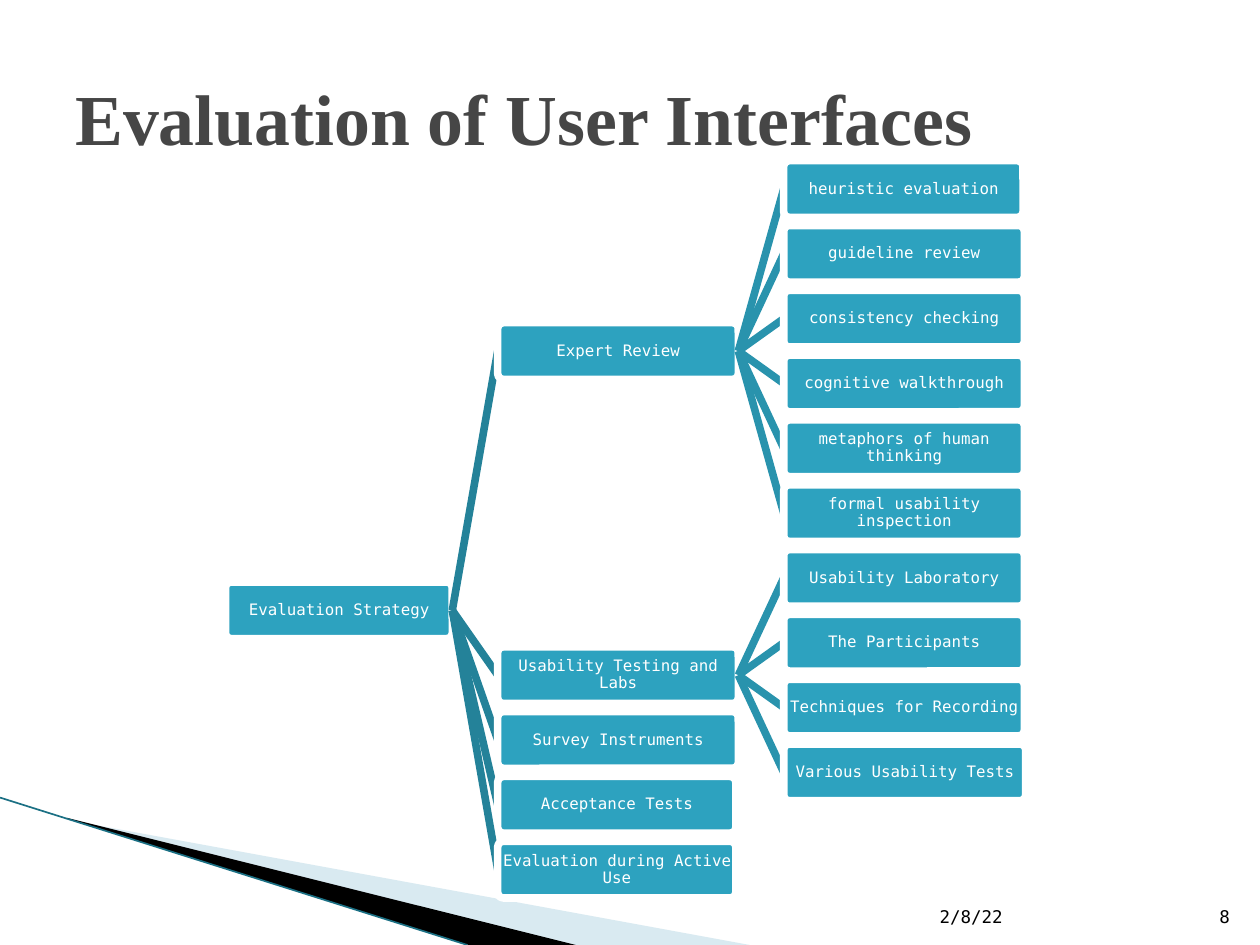
from dataclasses import dataclass

from lxml import etree
from pptx import Presentation
from pptx.dml.color import RGBColor
from pptx.enum.shapes import MSO_CONNECTOR, MSO_SHAPE
from pptx.enum.text import MSO_ANCHOR, PP_ALIGN
from pptx.oxml.ns import qn
from pptx.util import Pt

LINE = MSO_CONNECTOR.STRAIGHT
ROUND = MSO_SHAPE.ROUNDED_RECTANGLE
MIDDLE, BOTTOM = MSO_ANCHOR.MIDDLE, MSO_ANCHOR.BOTTOM
LEFT, CENTER, RIGHT = PP_ALIGN.LEFT, PP_ALIGN.CENTER, PP_ALIGN.RIGHT
SCALE = 9144


@dataclass(frozen=True)
class Theme:
    serif: str = "Times New Roman"
    mono: str = "DejaVu Sans Mono"
    title: str = "464646"
    ink: str = "000000"
    paper: str = "FFFFFF"
    box: str = "2DA2BF"
    links: tuple = ("248299", "2993AD")
    pale: str = "A0CBDC"
    edge: str = "1B7084"
    big: int = 41
    foot: int = 10
    label: int = 9
    rule: float = 4.33
    thin: float = 0.95


def px(n):
    return round(n * SCALE)


class Deck:
    def __init__(self, theme, wide, high):
        self.theme = theme
        self.show = Presentation()
        self.show.slide_width, self.show.slide_height = px(wide), px(high)
        self.slide = self.show.slides.add_slide(self.show.slide_layouts[6])
        self.shapes = self.slide.shapes

    def paint(self, fill, color):
        fill.solid()
        fill.fore_color.rgb = RGBColor.from_string(color)

    def label(self, shape, text, font, size, color, align, anchor, bold=False):
        frame = shape.text_frame
        frame.word_wrap = True
        frame.vertical_anchor = anchor
        frame.text = text
        para = frame.paragraphs[0]
        para.alignment = align
        style = para.runs[0].font
        style.name, style.size, style.bold = font, Pt(size), bold
        style.color.rgb = RGBColor.from_string(color)
        return frame

    def text(self, area, *args, **kwargs):
        self.label(self.shapes.add_textbox(*map(px, area)), *args, **kwargs)

    def line(self, start, end, color, width):
        line = self.shapes.add_connector(LINE, *map(px, start + end))
        self.paint(line.line.fill, color)
        line.line.width = Pt(width)
        etree.SubElement(line._element.spPr, qn("a:effectLst"))

    def wedge(self, points, color, alpha=100):
        pen = self.shapes.build_freeform(*points[0], scale=SCALE)
        pen.add_line_segments(points[1:], close=True)
        shape = pen.convert_to_shape()
        shape.shadow.inherit = False
        self.paint(shape.fill, color)
        shape.line.fill.background()
        if alpha < 100:
            tint = shape._element.spPr.find(qn("a:solidFill"))[0]
            etree.SubElement(tint, qn("a:alpha"), val=str(alpha * 1000))

    def box(self, area, text):
        look = self.theme
        shape = self.shapes.add_shape(ROUND, *map(px, area))
        shape.adjustments[0] = 0.1
        shape.shadow.inherit = False
        self.paint(shape.fill, look.box)
        self.paint(shape.line.fill, look.paper)
        shape.line.width = Pt(look.rule)
        frame = self.label(shape, text, look.mono, look.label, look.paper,
                           CENTER, MIDDLE)
        frame.margin_left = frame.margin_right = px(1)
        frame.margin_top = frame.margin_bottom = px(1)
        frame.paragraphs[0].line_spacing = 0.9


COLS = [(179, 180), (395, 191), (622, 191)]
FIRST, LAST, HIGH = 150, 613, 45
WIDTHS = {
    "heuristic evaluation": 190,
    "Various Usability Tests": 192,
    "Acceptance Tests": 189,
    "Evaluation during Active Use": 189,
}
TREE = ("Evaluation Strategy", [
    ("Expert Review", [
        ("heuristic evaluation", []),
        ("guideline review", []),
        ("consistency checking", []),
        ("cognitive walkthrough", []),
        ("metaphors of human thinking", []),
        ("formal usability inspection", []),
    ]),
    ("Usability Testing and Labs", [
        ("Usability Laboratory", []),
        ("The Participants", []),
        ("Techniques for Recording", []),
        ("Various Usability Tests", []),
    ]),
    ("Survey Instruments", []),
    ("Acceptance Tests", []),
    ("Evaluation during Active Use", []),
])


def place(node, ends, depth=0):
    name, kids = node
    nodes = []
    for kid in kids:
        nodes.append(place(kid, ends, depth + 1))
    if nodes:
        row = (nodes[0][1] + nodes[-1][1]) / 2
    else:
        row = ends.get(depth, -1) + 1
    ends[depth] = row
    return name, row, nodes


def draw(deck, node, depth=0):
    name, row, kids = node
    left, wide = COLS[depth]
    step = (LAST - FIRST) / 9
    mid = FIRST + row * step
    deck.box((left, mid - HIGH / 2, WIDTHS.get(name, wide), HIGH), name)
    for kid in kids:
        end = (COLS[depth + 1][0], FIRST + kid[1] * step)
        deck.line((left + wide, mid), end, deck.theme.links[depth],
                  deck.theme.rule)
        draw(deck, kid, depth + 1)


def main():
    look = Theme()
    deck = Deck(look, 1000, 750)
    deck.wedge([(55, 651), (595, 750), (456, 750), (55, 650)], look.pale, 40)
    deck.wedge([(53, 649), (457, 750), (372, 750), (54, 650)], look.ink)
    deck.line((0, 633), (371, 750), look.edge, look.thin)
    deck.text((50, 30, 900, 125), "Evaluation of User Interfaces",
              look.serif, look.big, look.title, LEFT, MIDDLE, bold=True)
    for area, text, align in [((736, 701, 210, 40), "2/8/22", LEFT),
                              ((946, 701, 40, 40), "8", RIGHT)]:
        deck.text(area, text, look.mono, look.foot, look.ink, align, BOTTOM)
    draw(deck, place(TREE, {}))
    deck.show.save("out.pptx")


if __name__ == "__main__":
    main()
